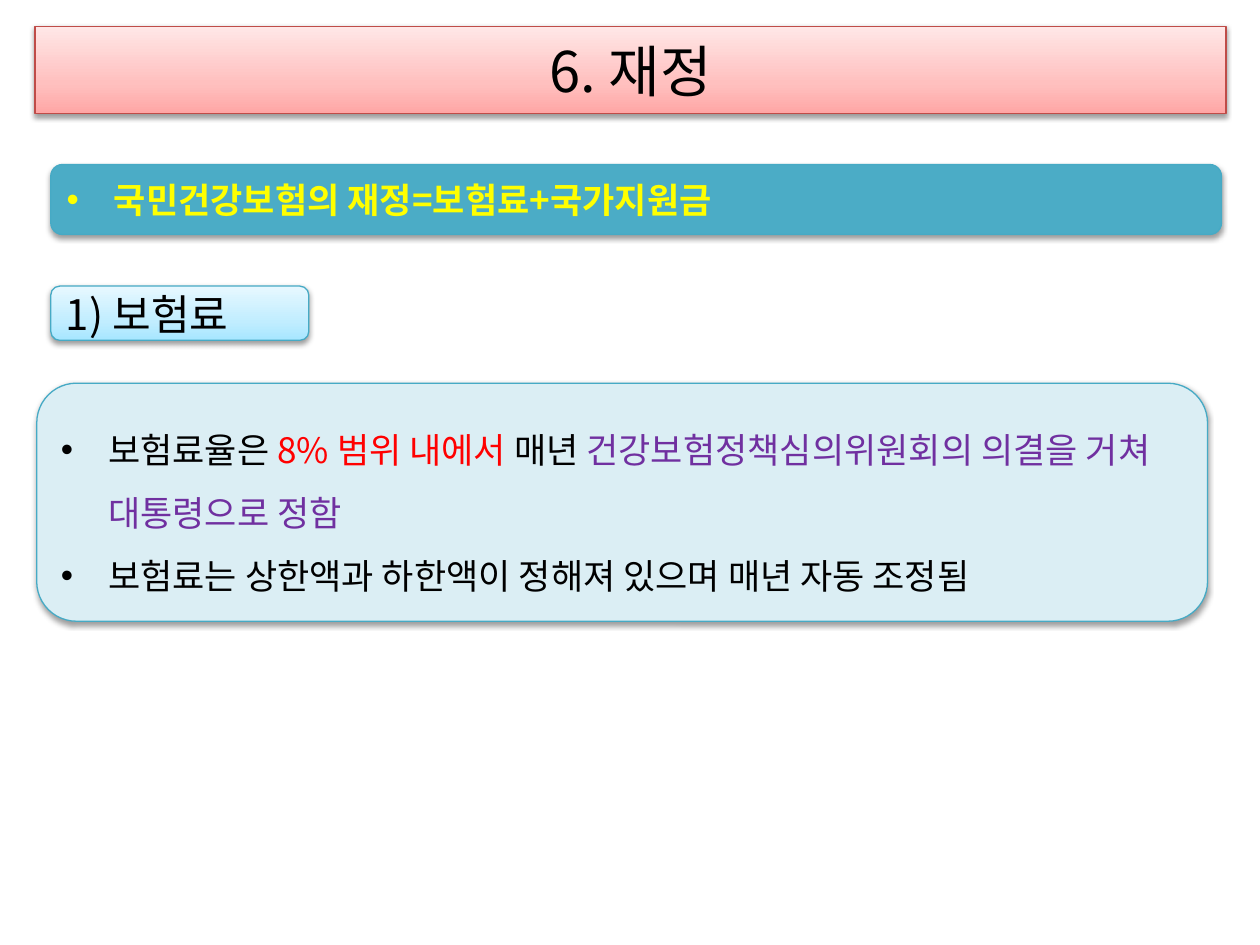
from copy import deepcopy

from lxml.etree import SubElement
from pptx import Presentation
from pptx.dml.color import RGBColor
from pptx.enum.shapes import MSO_SHAPE
from pptx.enum.text import MSO_ANCHOR, MSO_AUTO_SIZE, PP_ALIGN
from pptx.oxml.ns import qn
from pptx.util import Pt

FONT = "Noto Sans CJK KR"
BLACK, RED, PURPLE, YELLOW = "000000", "FF0000", "7030A0", "FFFF00"
TEAL_LINE = "46AAC5"


def rgb(value):
    return RGBColor.from_string(value)


def place(sp, box):
    sp.left, sp.top, sp.width, sp.height = [Pt(v) for v in box]


def add_round_rect(s, box):
    return s.shapes.add_shape(MSO_SHAPE.ROUNDED_RECTANGLE, *[Pt(v) for v in box])


def fill_gradient(sp, colors):
    sp.fill.gradient()
    sp.fill.gradient_angle = 90
    stops = sp._element.spPr.find(qn("a:gradFill")).find(qn("a:gsLst"))
    stops.insert(1, deepcopy(stops[0]))
    for stop, position, color in zip(sp.fill.gradient_stops, (0, 0.35, 1), colors):
        stop.position = position
        stop.color.rgb = rgb(color)


def style_panel(sp, colors, line):
    if len(colors) == 1:
        sp.fill.solid()
        sp.fill.fore_color.rgb = rgb(colors[0])
    else:
        fill_gradient(sp, colors)
    sp.line.color.rgb = rgb(line)
    sp.line.width = Pt(0.75)
    sp.shadow.inherit = False
    effects = sp._element.spPr.find(qn("a:effectLst"))
    shadow = SubElement(effects, qn("a:outerShdw"), blurRad=str(Pt(3.1)),
                        dist=str(Pt(1.6)), dir="5400000", rotWithShape="0")
    color = SubElement(shadow, qn("a:srgbClr"), val=BLACK)
    SubElement(color, qn("a:alpha"), val="38000")
    tf = sp.text_frame
    tf.word_wrap = True
    tf.auto_size = MSO_AUTO_SIZE.NONE
    tf.vertical_anchor = MSO_ANCHOR.MIDDLE


def add_bullet(p):
    pPr = p._p.get_or_add_pPr()
    pPr.set("marL", str(Pt(27)))
    pPr.set("indent", str(Pt(-27)))
    SubElement(pPr, qn("a:buFont"), typeface="Arial")
    SubElement(pPr, qn("a:buChar"), char="•")


def write_paragraph(p, runs, size, bold=False, align=PP_ALIGN.LEFT):
    p.alignment = align
    for text, color in runs:
        r = p.add_run()
        r.text = text
        r.font.size = Pt(size)
        r.font.bold = bold
        r.font.color.rgb = rgb(color)
        r.font.name = FONT
        SubElement(r._r.get_or_add_rPr(), qn("a:ea"), typeface=FONT)


def add_title(s, box):
    sp = s.shapes.title
    place(sp, box)
    style_panel(sp, ("FFA6A5", "FFC0BF", "FFE7E7"), "BF4C48")
    write_paragraph(sp.text_frame.paragraphs[0], [("6. 재정", BLACK)], 32,
                    align=PP_ALIGN.CENTER)


def add_formula(s, box):
    sp = add_round_rect(s, box)
    style_panel(sp, ("4BACC6",), TEAL_LINE)
    p = sp.text_frame.paragraphs[0]
    add_bullet(p)
    write_paragraph(p, [("국민건강보험의 재정=보험료+국가지원금", YELLOW)], 20, bold=True)


def add_heading(s, box):
    sp = add_round_rect(s, box)
    style_panel(sp, ("A7E6FF", "C1EDFF", "E7F8FF"), TEAL_LINE)
    write_paragraph(sp.text_frame.paragraphs[0], [("1) 보험료", BLACK)], 24)


def add_details(s, box):
    sp = s.placeholders[1]
    place(sp, box)
    geometry = SubElement(sp._element.spPr, qn("a:prstGeom"), prst="roundRect")
    SubElement(geometry, qn("a:avLst"))
    style_panel(sp, ("DBEEF4",), TEAL_LINE)
    items = [
        [("보험료율은 ", BLACK), ("8% 범위 내에서 ", RED), ("매년 ", BLACK),
         ("건강보험정책심의위원회의 의결을 거쳐 대통령으로 정함", PURPLE)],
        [("보험료는 상한액과 하한액이 정해져 있으며 매년 자동 조정됨", BLACK)],
    ]
    tf = sp.text_frame
    for i, runs in enumerate(items):
        p = tf.add_paragraph() if i else tf.paragraphs[0]
        add_bullet(p)
        p.line_spacing = 1.5
        p.space_before = Pt(0)
        write_paragraph(p, runs, 20)


def main():
    prs = Presentation()
    prs.slide_width, prs.slide_height = Pt(720), Pt(540)
    s = prs.slides.add_slide(prs.slide_layouts[1])
    add_title(s, (20, 15, 680.5, 50))
    add_formula(s, (29, 94, 669, 40))
    add_details(s, (21, 219, 669, 136))
    add_heading(s, (29, 163.5, 147.5, 31))
    prs.save("out.pptx")


if __name__ == "__main__":
    main()
